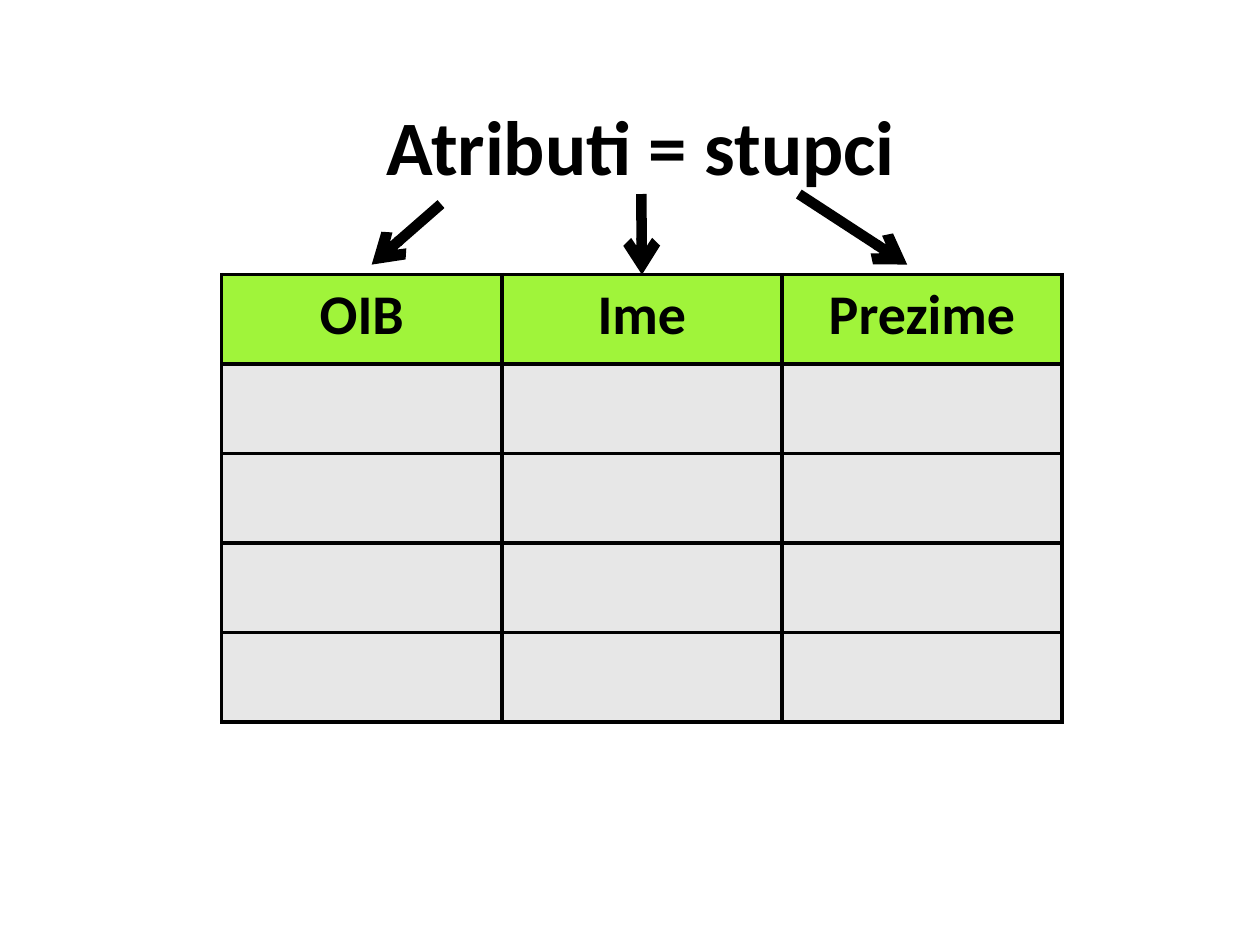
import pptx
import pptx.dml.color
import pptx.enum.shapes
import pptx.enum.text
import pptx.oxml
import pptx.oxml.ns
import pptx.util
from pptx.util import Inches

COLORS = {"ink": "000000", "header": "A0F43A", "body": "E7E7E7"}
ATTRIBUTES = ["OIB", "Ime", "Prezime"]
EMPTY_ROWS = 4
TOP_CENTER = 0


def rgb(name):
    return pptx.dml.color.RGBColor.from_string(COLORS[name])


def format_text(frame, size):
    frame.vertical_anchor = pptx.enum.text.MSO_ANCHOR.MIDDLE
    paragraph = frame.paragraphs[0]
    paragraph.alignment = pptx.enum.text.PP_ALIGN.CENTER
    font = paragraph.runs[0].font
    font_format = {"name": "Calibri", "size": pptx.util.Pt(size), "bold": True}
    for key, value in font_format.items():
        setattr(font, key, value)
    font.color.rgb = rgb("ink")


def add_borders(cell, width):
    properties = cell._tc.get_or_add_tcPr()
    for index, side in enumerate("LRTB"):
        border = pptx.oxml.parse_xml(
            f'<a:ln{side} {pptx.oxml.ns.nsdecls("a")} w="{pptx.util.Pt(width)}">'
            f'<a:solidFill><a:srgbClr val="{COLORS["ink"]}"/></a:solidFill></a:ln{side}>'
        )
        properties.insert(index, border)


def place_heading(slide, left, top, width, height):
    heading = slide.shapes.title
    box = {"left": left, "top": top, "width": width, "height": height}
    for key, value in box.items():
        setattr(heading, key, Inches(value))
    heading.text_frame.text = "Atributi = stupci"
    format_text(heading.text_frame, 44)


def place_relation(slide, left, top, width, height):
    frame = slide.shapes.add_table(
        EMPTY_ROWS + 1, len(ATTRIBUTES), *map(Inches, (left, top, width, height))
    )
    for row_index, row in enumerate(frame.table.rows):
        for cell, attribute in zip(row.cells, ATTRIBUTES):
            cell.fill.solid()
            cell.fill.fore_color.rgb = rgb("body" if row_index else "header")
            add_borders(cell, 2.25)
            if row_index == 0:
                cell.text = attribute
                format_text(cell.text_frame, 32)
                cell.vertical_anchor = pptx.enum.text.MSO_ANCHOR.TOP
    return frame


def add_arrow(slide, start, end):
    arrow = slide.shapes.add_connector(
        pptx.enum.shapes.MSO_CONNECTOR.STRAIGHT, *map(Inches, start + end)
    )
    arrow.line.width = pptx.util.Pt(6)
    arrow.line.color.rgb = rgb("ink")
    namespace = pptx.oxml.ns.nsdecls("a")
    arrow.line._get_or_add_ln().append(
        pptx.oxml.parse_xml(f'<a:tailEnd {namespace} type="arrow"/>')
    )
    arrow._element.spPr.append(pptx.oxml.parse_xml(f"<a:effectLst {namespace}/>"))
    return arrow


def place_arrows(slide, relation, left, top, width, height):
    """Point from the heading to each column of the relation."""
    bottom, middle = top + height, left + 2.14
    add_arrow(slide, (left + 0.55, top + 0.08), (left, bottom))
    to_middle = add_arrow(slide, (middle, top), (middle, bottom + 0.08))
    to_middle.end_connect(relation, TOP_CENTER)
    add_arrow(slide, (left + width - 0.86, top), (left + width, bottom))


def main():
    presentation = pptx.Presentation()
    presentation.slide_width = Inches(10)
    presentation.slide_height = Inches(7.5)
    title_only = presentation.slide_layouts[5]
    slide = presentation.slides.add_slide(title_only)

    # Heading, table of attributes, then the arrows between them
    place_heading(slide, 0.59, 0.52, 9, 1.25)
    relation = place_relation(slide, 1.76, 2.18, 6.67, 3.55)
    place_arrows(slide, relation, 2.95, 1.54, 4.25, 0.56)

    presentation.save("out.pptx")


if __name__ == "__main__":
    main()
